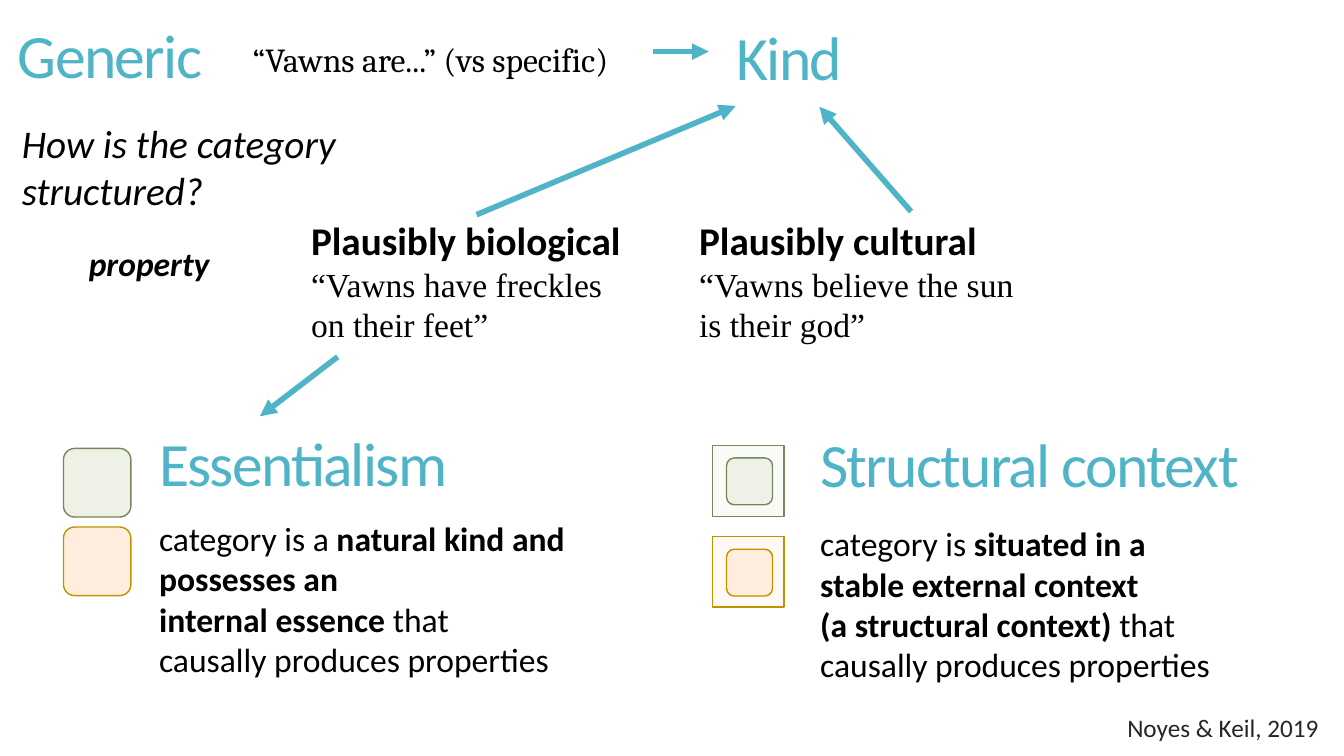
import pptx
import pptx.dml.color
import pptx.enum.shapes
import pptx.enum.text
import pptx.oxml
import pptx.oxml.ns
import pptx.util
from dataclasses import dataclass

Cm, Pt = pptx.util.Cm, pptx.util.Pt
Align = pptx.enum.text.PP_ALIGN
Anchor = pptx.enum.text.MSO_ANCHOR
Preset = pptx.enum.shapes.MSO_SHAPE


@dataclass(frozen=True)
class Theme:
    accent: str = "50B4C8"
    ink: str = "000000"
    source_ink: str = "262626"
    green_line: str = "7A855D"
    green: str = "EEF1E5"
    green_pale: str = "F9FBF7"
    orange_line: str = "C09200"
    orange: str = "FFEEDD"
    orange_pale: str = "FFF9F3"
    sans: str = "Calibri"
    serif: str = "Times New Roman"
    quote_serif: str = "Cambria"
    heading: int = 44
    lead: int = 28
    body: int = 24
    source: int = 18
    outline: int = 1
    arrow: int = 4
    tracking: int = -120  # hundredths of a point
    tight: float = 0.85


def rgb(value):
    return pptx.dml.color.RGBColor.from_string(value)


class Board:
    def __init__(self, slide, theme):
        self.slide, self.theme = slide, theme

    def run(self, paragraph, words, tracking=None, color=None, **font):
        """Add words to a paragraph; a newline becomes a line break."""
        for index, part in enumerate(words.split("\n")):
            if index:
                paragraph.add_line_break()
            if not part:
                continue
            run = paragraph.add_run()
            run.text = part
            style = {"name": self.theme.sans, "size": Pt(self.theme.body), **font}
            for name, value in style.items():
                setattr(run.font, name, value)
            run.font.color.rgb = rgb(color or self.theme.ink)
            if tracking:
                run._r.get_or_add_rPr().set("spc", str(tracking))

    def text(self, box, paragraphs, wrap=True, anchor=Anchor.TOP, fit=True, **layout):
        """Each paragraph is a list of (words, font values) pairs."""
        frame = self.slide.shapes.add_textbox(*map(Cm, box)).text_frame
        frame.word_wrap = wrap
        frame.vertical_anchor = anchor
        sizing = pptx.enum.text.MSO_AUTO_SIZE
        frame.auto_size = sizing.SHAPE_TO_FIT_TEXT if fit else sizing.NONE
        for index, pieces in enumerate(paragraphs):
            paragraph = frame.add_paragraph() if index else frame.paragraphs[0]
            for name, value in layout.items():
                setattr(paragraph, name, value)
            for words, font in pieces:
                self.run(paragraph, words, **font)

    def heading(self, box, words):
        theme = self.theme
        font = {"size": Pt(theme.heading), "color": theme.accent,
                "tracking": theme.tracking}
        self.text(box, [[(words, font)]], anchor=Anchor.MIDDLE, fit=False,
                  line_spacing=theme.tight)

    def example(self, box, title, *quote_lines):
        lead = {"size": Pt(self.theme.lead), "bold": True}
        quote = {"name": self.theme.serif}
        self.text(box, [[(title, lead)]] + [[(line, quote)] for line in quote_lines],
                  wrap=False)

    def block(self, preset, box, fill, line):
        shape = self.slide.shapes.add_shape(preset, *map(Cm, box))
        shape.shadow.inherit = False
        shape.fill.solid()
        shape.fill.fore_color.rgb = rgb(fill)
        shape.line.color.rgb = rgb(line)
        shape.line.width = Pt(self.theme.outline)

    def arrow(self, start, end):
        connector = self.slide.shapes.add_connector(
            pptx.enum.shapes.MSO_CONNECTOR.STRAIGHT, *map(Cm, start + end))
        connector.line.color.rgb = rgb(self.theme.accent)
        connector.line.width = Pt(self.theme.arrow)
        namespace = pptx.oxml.ns.nsdecls("a")
        connector.line._get_or_add_ln().append(
            pptx.oxml.parse_xml(f'<a:tailEnd {namespace} type="triangle"/>'))
        connector._element.spPr.append(
            pptx.oxml.parse_xml(f"<a:effectLst {namespace}/>"))


def main():
    deck = pptx.Presentation()
    deck.slide_width, deck.slide_height = Cm(33.87), Cm(19.05)
    theme = Theme()
    board = Board(deck.slides.add_slide(deck.slide_layouts[6]), theme)
    bold, italic = {"bold": True}, {"italic": True}

    for words, box in (
        ("Generic", (0.2, -1.02, 10.87, 5.03)),
        ("Kind", (18.31, 0.41, 4.7, 2.29)),
        ("Essentialism", (3.76, 10.64, 8.99, 2.29)),
        ("Structural context", (20.42, 10.67, 12.55, 2.26)),
    ):
        board.heading(box, words)

    board.text((6.12, 0.86, 9.93, 1.27),
               [[("“Vawns are...” (vs specific)", {"name": theme.quote_serif})]],
               wrap=False)
    board.text((0.3, 2.87, 12.7, 1.45),
               [[("How is the category structured?",
                  {"size": Pt(theme.lead), **italic})]])
    board.text((-1.27, 5.99, 10.06, 1.27), [[("property", {**bold, **italic})]],
               alignment=Align.CENTER)

    board.example((7.59, 5.33, 9.42, 3.51), "Plausibly biological",
                  "“Vawns have freckles", "on their feet”")
    board.example((17.37, 5.33, 8.56, 3.51), "Plausibly cultural",
                  "“Vawns believe the sun", "is their god”")

    board.text((3.76, 12.93, 10.95, 4.37), [[
        ("category is a ", {}),
        ("natural kind and possesses an \ninternal essence ", bold),
        ("that \ncausally produces properties", {}),
    ]])
    board.text((20.42, 13.06, 10.95, 4.37), [[
        ("category is ", {}),
        ("situated in a stable external context \n(a structural context)", bold),
        (" that causally produces properties", {}),
    ]])

    # Per colour: tops of the lone category, the context frame and the category inside
    for fill, pale, line, alone_top, frame_top, inner_top in (
        (theme.green, theme.green_pale, theme.green_line, 11.3, 11.23, 11.54),
        (theme.orange, theme.orange_pale, theme.orange_line, 13.28, 13.52, 13.84),
    ):
        board.block(Preset.ROUNDED_RECTANGLE, (1.6, alone_top, 1.7, 1.73), fill, line)
        board.block(Preset.RECTANGLE, (17.96, frame_top, 1.8, 1.78), pale, line)
        board.block(Preset.ROUNDED_RECTANGLE, (18.31, inner_top, 1.16, 1.18), fill, line)

    for start, end in (
        ((16.46, 1.3), (17.86, 1.3)),
        ((22.96, 5.33), (20.65, 2.69)),
        ((12.01, 5.41), (18.54, 2.67)),
        ((8.51, 8.99), (6.55, 10.49)),
    ):
        board.arrow(start, end)

    board.text((15.24, 17.93, 18.24, 1.09),
               [[("Noyes & Keil, 2019",
                  {"size": Pt(theme.source), "color": theme.source_ink})]],
               fit=False, alignment=Align.RIGHT, line_spacing=theme.tight)
    deck.save("out.pptx")


if __name__ == "__main__":
    main()
